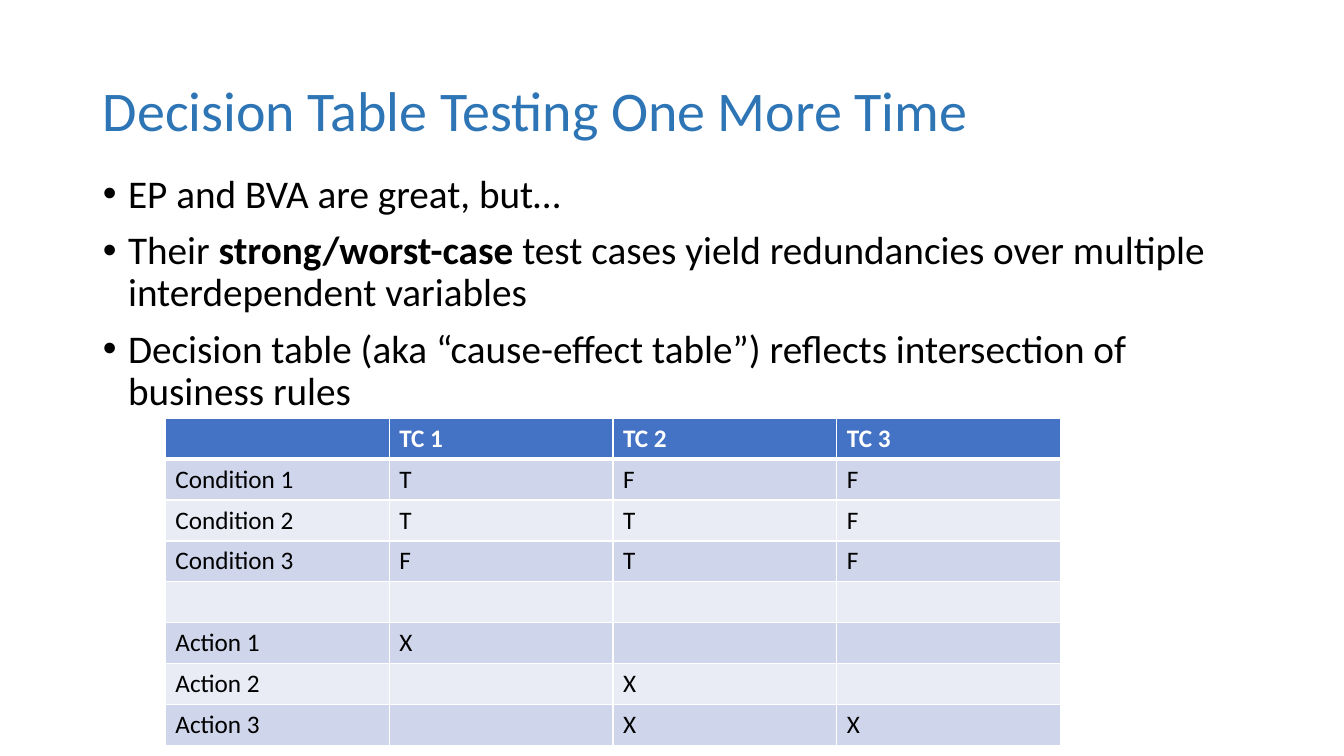
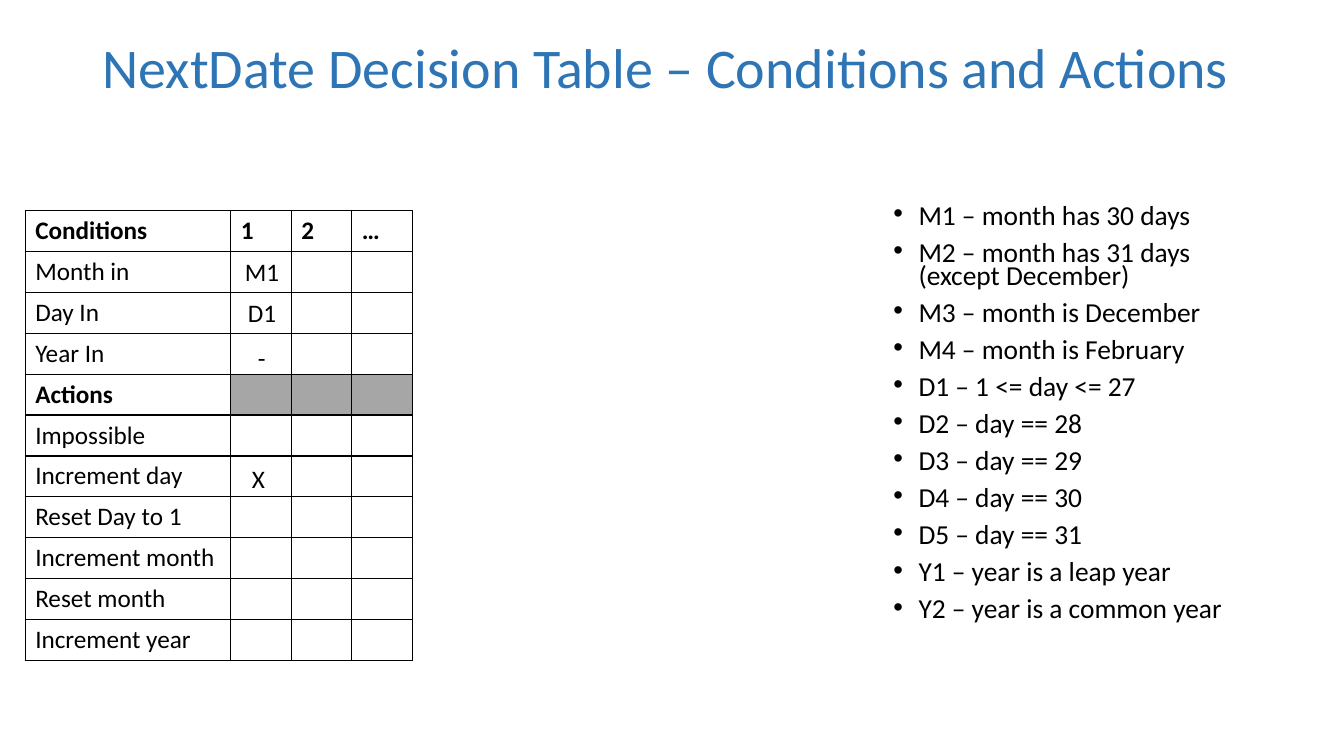
from dataclasses import dataclass

from pptx import Presentation
from pptx.dml.color import RGBColor as RGB
from pptx.enum.text import MSO_ANCHOR as Anchor, MSO_AUTO_SIZE as AutoSize, PP_ALIGN as Align
from pptx.oxml.ns import qn
from pptx.util import Inches, Pt
from lxml.etree import SubElement


@dataclass(frozen=True)
class Theme:
    font: str = "Calibri"
    title_color: str = "2E75B6"
    ink: str = "000000"
    paper: str = "FFFFFF"
    header: str = "4472C4"
    bands: tuple = ("CFD5EA", "E9EBF5")
    divider: str = "A6A6A6"
    title_size: float = 40
    body_size: float = 28
    legend_size: float = 19.6
    cell_size: float = 18
    thin: float = 1
    thick: float = 3
    margin: float = 0.92
    content_width: float = 11.5


THEME = Theme()

REASONS = [
    [("EP and BVA are great, but…", False)],
    [("Their ", False), ("strong/worst-case ", True),
     ("test cases yield redundancies over multiple interdependent variables", False)],
    [("Decision table (aka “cause-effect table”) reflects intersection of business rules", False)],
]

CASES = [
    ("", "TC 1", "TC 2", "TC 3"),
    ("Condition 1", "T", "F", "F"),
    ("Condition 2", "T", "T", "F"),
    ("Condition 3", "F", "T", "F"),
    ("", "", "", ""),
    ("Action 1", "X", "", ""),
    ("Action 2", "", "X", ""),
    ("Action 3", "", "X", "X"),
]

CONDITIONS = ["Month in", "Day In", "Year In"]
ACTIONS = ["Impossible", "Increment day", "Reset Day to 1", "Increment month",
           "Reset month", "Increment year"]

LEGEND = [
    "M1 – month has 30 days",
    "M2 – month has 31 days (except December)",
    "M3 – month is December",
    "M4 – month is February",
    "D1 – 1 <= day <= 27",
    "D2 – day == 28",
    "D3 – day == 29",
    "D4 – day == 30",
    "D5 – day == 31",
    "Y1 – year is a leap year",
    "Y2 – year is a common year",
]

FIRST_RULE = [
    ("M1", 2.33, 2.49, 0.55),
    ("D1", 2.36, 2.9, 0.49),
    ("-", 2.46, 3.35, 0.28),
    ("X", 2.4, 4.55, 0.33),
]


def add_run(paragraph, text, size, color=THEME.ink, bold=False):
    run = paragraph.add_run()
    run.text = text
    run.font.name = THEME.font
    run.font.size = Pt(size)
    run.font.bold = bold
    run.font.color.rgb = RGB.from_string(color)


def place(shape, left, top, width, height):
    shape.left, shape.top = Inches(left), Inches(top)
    shape.width, shape.height = Inches(width), Inches(height)


def set_title(slide, text, top, height):
    title = slide.shapes.title
    place(title, THEME.margin, top, THEME.content_width, height)
    frame = title.text_frame
    frame.auto_size = AutoSize.NONE
    frame.vertical_anchor = Anchor.MIDDLE
    heading = frame.paragraphs[0]
    heading.alignment = Align.LEFT
    heading.line_spacing = 0.9
    add_run(heading, text, THEME.title_size, THEME.title_color)


def set_bullet(paragraph):
    properties = paragraph._p.get_or_add_pPr()
    properties.set("marL", str(Inches(0.25)))
    properties.set("indent", str(-Inches(0.25)))
    SubElement(properties, qn("a:buFont"), typeface="Arial")
    SubElement(properties, qn("a:buChar"), char="•")


def set_list(slide, items, box, size, line_spacing):
    body = slide.placeholders[1]
    place(body, *box)
    frame = body.text_frame
    frame.auto_size = AutoSize.NONE
    for index, item in enumerate(items):
        paragraph = frame.add_paragraph() if index else frame.paragraphs[0]
        paragraph.line_spacing = line_spacing
        paragraph.space_before = Pt(10)
        set_bullet(paragraph)
        for text, bold in item:
            add_run(paragraph, text, size, bold=bold)


def set_borders(cell, color, top, bottom):
    properties = cell._tc.get_or_add_tcPr()
    widths = {"lnL": THEME.thin, "lnR": THEME.thin, "lnT": top, "lnB": bottom}
    for side, width in widths.items():
        line = SubElement(properties, qn(f"a:{side}"), w=str(Pt(width)))
        fill = SubElement(line, qn("a:solidFill"))
        SubElement(fill, qn("a:srgbClr"), val=color)


def add_grid(slide, rows, left, top, widths, height, border, style, header_line=THEME.thin):
    grid = slide.shapes.add_table(len(rows), len(widths), Inches(left), Inches(top),
                                  Inches(sum(widths)), Inches(height)).table
    grid.first_row = grid.horz_banding = False
    for column, width in zip(grid.columns, widths):
        column.width = Inches(width)
    for r, texts in enumerate(rows):
        grid.rows[r].height = Inches(height / len(rows))
        for c, text in enumerate(texts):
            cell = grid.cell(r, c)
            set_borders(cell, border,
                        top=header_line if r == 1 else THEME.thin,
                        bottom=header_line if r == 0 else THEME.thin)
            fill, color, bold = style(r, c)
            if fill:
                cell.fill.solid()
                cell.fill.fore_color.rgb = RGB.from_string(fill)
            else:
                cell.fill.background()
            paragraph = cell.text_frame.paragraphs[0]
            paragraph.font.size = Pt(THEME.cell_size)
            if text:
                add_run(paragraph, text, THEME.cell_size, color, bold)


def add_mark(slide, text, left, top, width):
    mark = slide.shapes.add_textbox(Inches(left), Inches(top), Inches(width), Inches(0.4))
    mark.text_frame.word_wrap = False
    mark.text_frame.auto_size = AutoSize.SHAPE_TO_FIT_TEXT
    add_run(mark.text_frame.paragraphs[0], text, THEME.cell_size)


def banded_style(row, column):
    if row == 0:
        return THEME.header, THEME.paper, True
    return THEME.bands[(row - 1) % 2], THEME.ink, False


def plain_style(row, column):
    actions_row = len(CONDITIONS) + 1
    fill = THEME.divider if row == actions_row and column else None
    return fill, THEME.ink, row in (0, actions_row)


def build_testing_slide(slide):
    set_title(slide, "Decision Table Testing One More Time", 0.4, 1.45)
    set_list(slide, REASONS, (THEME.margin, 1.68, THEME.content_width, 4.76),
             THEME.body_size, 0.9)
    add_grid(slide, CASES, 1.64, 4.15, [2.22] * 4, 3.24, THEME.paper,
             banded_style, THEME.thick)


def build_next_date_slide(slide):
    set_title(slide, "NextDate Decision Table – Conditions and Actions", 0.17, 1.06)
    labels = CONDITIONS + ["Actions"] + ACTIONS
    rows = [("Conditions", "1", "2", "…")] + [(label, "", "", "") for label in labels]
    add_grid(slide, rows, 0.25, 2.09, [2.04] + [0.6] * 3, 4.46, THEME.ink, plain_style)
    set_list(slide, [[(text, False)] for text in LEGEND], (8.76, 2, 3.66, 4.76),
             THEME.legend_size, 0.7)
    for mark in FIRST_RULE:
        add_mark(slide, *mark)


def main():
    deck = Presentation()
    deck.slide_width, deck.slide_height = Inches(13.33), Inches(7.5)
    for build in (build_testing_slide, build_next_date_slide):
        build(deck.slides.add_slide(deck.slide_layouts[1]))
    deck.save("out.pptx")


if __name__ == "__main__":
    main()
